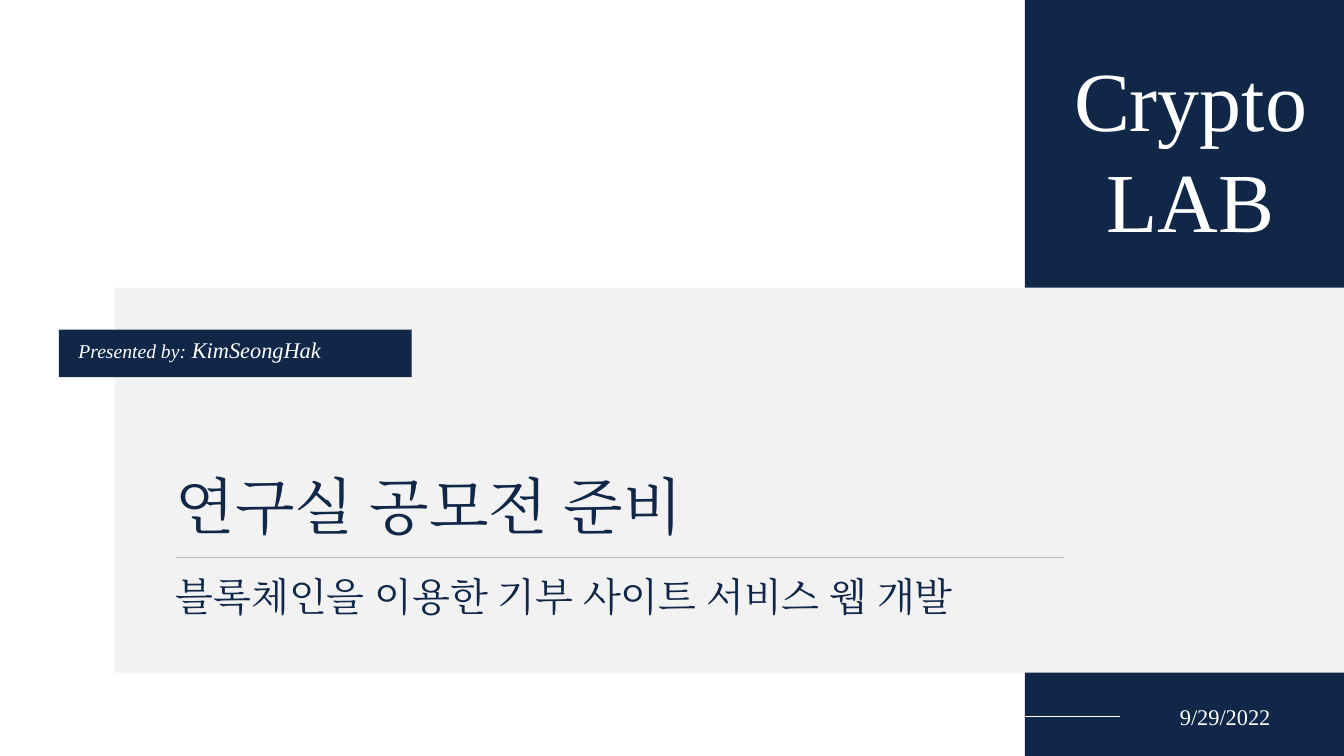
from lxml import etree
from pptx import Presentation
from pptx import util as u
from pptx.dml.color import RGBColor
from pptx.enum import shapes, text
from pptx.oxml.ns import qn

PX = 6350  # the slide is 1920 by 1080 px
FONT = "Times New Roman"
NAVY, WHITE, PALE, GREY = "102747", "FFFFFF", "F2F2F2", "BFBFBF"
LEFT, CENTER, RIGHT = text.PP_ALIGN.LEFT, text.PP_ALIGN.CENTER, text.PP_ALIGN.RIGHT
TOP, MIDDLE, BOTTOM = text.MSO_ANCHOR.TOP, text.MSO_ANCHOR.MIDDLE, text.MSO_ANCHOR.BOTTOM
GROW, FIXED = text.MSO_AUTO_SIZE.SHAPE_TO_FIT_TEXT, text.MSO_AUTO_SIZE.NONE

deck = Presentation()
deck.slide_width, deck.slide_height = 1920 * PX, 1080 * PX
page = deck.slides.add_slide(deck.slide_layouts[6])


def color(value):
    return RGBColor.from_string(value)


# Side band, body panel and presenter tag, from back to front
for fill, area in [
    (NAVY, (1464, 0, 456, 1080)),
    (PALE, (164, 411, 1756, 550)),
    (NAVY, (84, 471, 504, 68)),
]:
    panel = page.shapes.add_shape(shapes.MSO_SHAPE.RECTANGLE, *(n * PX for n in area))
    panel.shadow.inherit = False
    panel.fill.solid()
    panel.fill.fore_color.rgb = color(fill)
    panel.line.fill.background()

# Thin rules under the title and beside the date
for stroke, start, end, y in [(GREY, 251, 1520, 796), (WHITE, 1464, 1600, 1023)]:
    rule = page.shapes.add_connector(
        shapes.MSO_CONNECTOR.STRAIGHT, start * PX, y * PX, end * PX, y * PX)
    rule.line.color.rgb = color(stroke)
    rule.line.width = u.Pt(0.5)
    etree.SubElement(rule._element.spPr, qn("a:effectLst"))

# Area, inset, anchor, fit, alignment, colour, line spacing, space before, runs
for area, inset, anchor, fit, align, ink, spacing, before, runs in [
    ((1464, 994, 351, 58), 0, MIDDLE, FIXED, RIGHT, WHITE, None, None,
     [("9/29/2022", 16, False)]),
    ((251, 667, 1270, 107), 0, BOTTOM, GROW, LEFT, NAVY, None, None,
     [("연구실 공모전 준비", 44, False)]),
    ((251, 818, 1270, 68), 0, TOP, GROW, LEFT, NAVY, None, None,
     [("블록체인을 이용한 기부 사이트 서비스 웹 개발", 28, False)]),
    ((112, 485, 440, 20), 0, TOP, GROW, LEFT, WHITE, 0.9, u.Pt(10),
     [("Presented by:", 14, True), (" KimSeongHak", 16, True)]),
    ((1513, 61, 376, 305), 14, TOP, GROW, CENTER, WHITE, None, None,
     [("Crypto LAB", 60, False)]),
]:
    box = page.shapes.add_textbox(*(n * PX for n in area))
    frame = box.text_frame
    frame.word_wrap = True
    frame.auto_size = fit
    frame.vertical_anchor = anchor
    frame.margin_left = frame.margin_right = inset * PX
    frame.margin_top = frame.margin_bottom = inset * PX // 2
    para = frame.paragraphs[0]
    para.alignment = align
    para.line_spacing = spacing
    para.space_before = before
    for words, size, italic in runs:
        span = para.add_run()
        span.text = words
        span.font.size = u.Pt(size)
        span.font.italic = italic
        span.font.color.rgb = color(ink)
        span.font.name = FONT
        east_asian = etree.SubElement(span.font._element, qn("a:ea"))
        east_asian.set("typeface", FONT)

deck.save("out.pptx")
